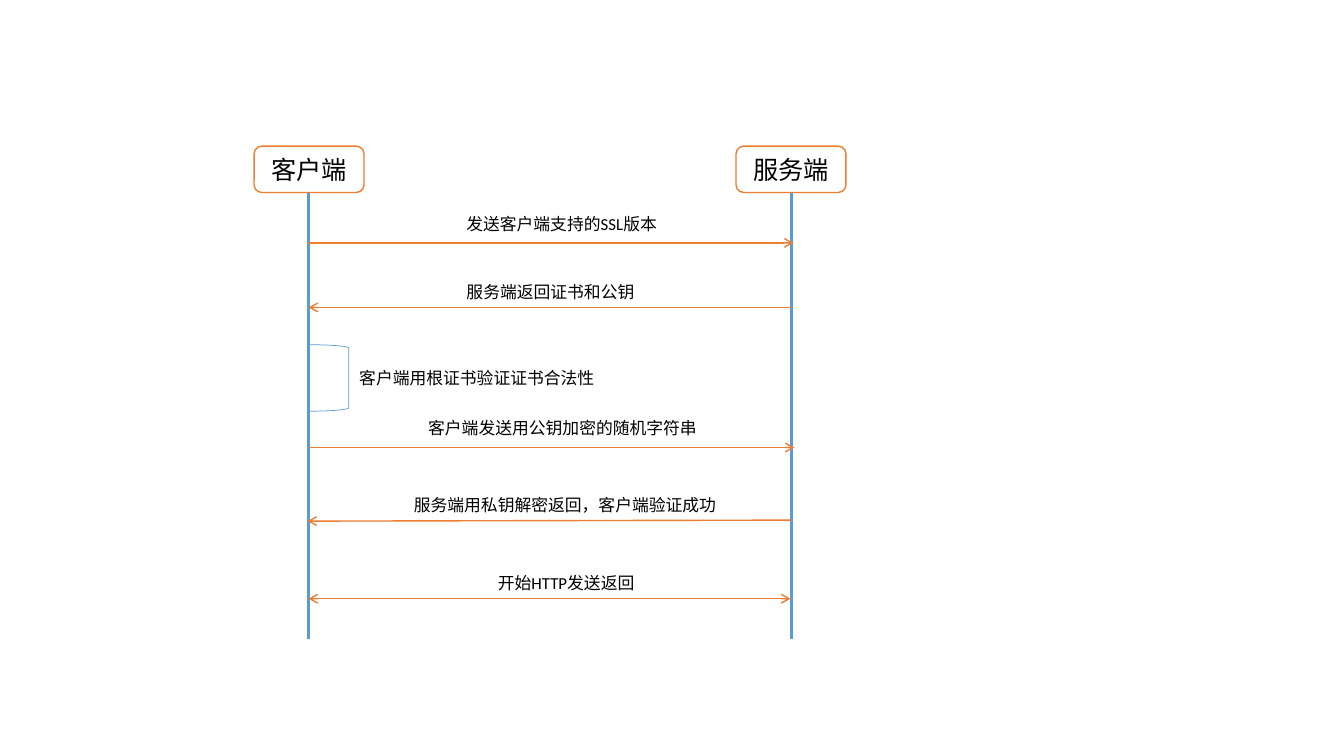
from lxml.etree import SubElement
from pptx import Presentation
from pptx.dml.color import RGBColor
from pptx.enum.shapes import MSO_CONNECTOR as CONN, MSO_SHAPE as SHAPE
from pptx.enum.text import MSO_ANCHOR as ANCHOR, MSO_AUTO_SIZE as AUTO, PP_ALIGN as ALIGN
from pptx.oxml.ns import qn
from pptx.util import Inches, Pt

COLORS = {"box": "FFFFFF", "message": "ED7D31", "lifeline": "5B9BD5", "text": "000000"}


class SequenceDiagram:
    """Holds the style and the current slide."""
    font_name = "Calibri"

    def __init__(self, slide):
        self.slide = slide

    def color(self, name):
        return RGBColor.from_string(COLORS[name])

    def outline(self, sp, color, width):
        sp.line.color.rgb = self.color(color)
        sp.line.width = Pt(width)

    def set_text(self, tf, text, size):
        tf.word_wrap = True
        p = tf.paragraphs[0]
        p.alignment = ALIGN.CENTER
        r = p.add_run()
        r.text = text
        for name, value in {"size": Pt(size), "name": self.font_name}.items():
            setattr(r.font, name, value)
        r.font.color.rgb = self.color("text")

    def shape(self, kind, box, color, width):
        sp = self.slide.shapes.add_shape(kind, *map(Inches, box))
        sp.shadow.inherit = False
        self.outline(sp, color, width)
        return sp

    def participant(self, text, left):
        sp = self.shape(SHAPE.ROUNDED_RECTANGLE, (left, 1.45, 1.09, 0.46), "message", 1)
        sp.fill.solid()
        sp.fill.fore_color.rgb = self.color("box")
        sp.text_frame.vertical_anchor = ANCHOR.MIDDLE
        self.set_text(sp.text_frame, text, 18)

    def line(self, start, end, color, width, arrows=()):
        sp = self.slide.shapes.add_connector(CONN.STRAIGHT, *map(Inches, start + end))
        self.outline(sp, color, width)
        ln = sp._element.spPr.find(qn("a:ln"))
        for arrow in arrows:
            SubElement(ln, qn(f"a:{arrow}"), type="arrow")
        SubElement(sp._element.spPr, qn("a:effectLst"))

    def label(self, text, left, top, width):
        sp = self.slide.shapes.add_textbox(*map(Inches, (left, top, width, 0.3)))
        self.set_text(sp.text_frame, text, 12)
        sp.text_frame.auto_size = AUTO.SHAPE_TO_FIT_TEXT

    def self_check(self, text):
        sp = self.shape(SHAPE.RIGHT_BRACKET, (3.06, 3.42, 0.4, 0.66), "lifeline", 0.5)
        sp.fill.background()
        self.label(text, 3.46, 3.6, 2.54)


def main():
    prs = Presentation()
    prs.slide_width, prs.slide_height = Inches(13.33), Inches(7.5)
    s = SequenceDiagram(prs.slides.add_slide(prs.slide_layouts[6]))

    # Participants
    s.participant("服务端", 7.3)
    s.participant("客户端", 2.52)

    # Lifelines
    for x in (3.06, 7.85):
        s.line((x, 1.91), (x, 6.34), "lifeline", 1.5)

    # Messages: text, label left, top and width, arrow start and end, arrowheads
    to_end, both = ("tailEnd",), ("headEnd", "tailEnd")
    messages = [
        ("发送客户端支持的SSL版本", (4.11, 2.07, 2.92), (3.05, 2.41), (7.87, 2.41), to_end),
        ("服务端返回证书和公钥", (4, 2.75, 2.92), (7.86, 3.05), (3.06, 3.05), to_end),
        ("客户端发送用公钥加密的随机字符串", (4.12, 4.1, 2.92), (3.06, 4.44), (7.88, 4.44), to_end),
        ("服务端用私钥解密返回，客户端验证成功", (3.99, 4.86, 3.23), (7.85, 5.16), (3.05, 5.17), to_end),
        ("开始HTTP发送返回", (4, 5.63, 3.23), (3.06, 5.94), (7.84, 5.94), both),
    ]
    for text, place, start, end, arrows in messages:
        s.line(start, end, "message", 1, arrows)
        s.label(text, *place)

    # Certificate check on the client side
    s.self_check("客户端用根证书验证证书合法性")

    prs.save("out.pptx")


if __name__ == "__main__":
    main()
